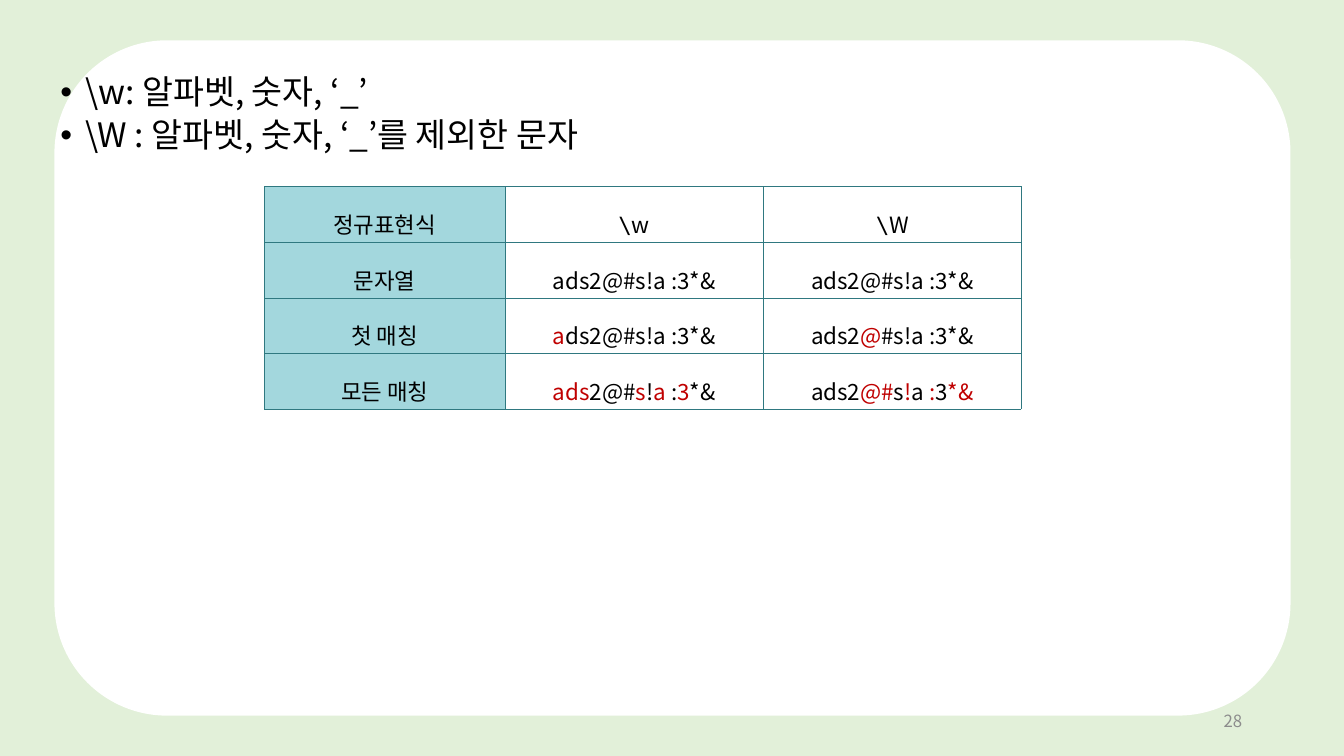
from itertools import groupby

from lxml.etree import SubElement
from pptx import Presentation
from pptx.dml.color import RGBColor
from pptx.enum.shapes import MSO_SHAPE
from pptx.enum.text import MSO_ANCHOR, PP_ALIGN
from pptx.oxml.ns import qn
from pptx.util import Pt

PX = 9144
GREEN, WHITE, BLACK, RED = "E2F0D9", "FFFFFF", "000000", "C00000"
TEAL, TEAL_LINE, GRAY = "A3D7DD", "2F7880", "8C8C8C"

RULES = ["\\w: 알파벳, 숫자, ‘_’", "\\W : 알파벳, 숫자, ‘_’를 제외한 문자"]
MATCHES = [
    ["정규표현식", "\\w", "\\W"],
    ["문자열", "ads2@#s!a :3*&", "ads2@#s!a :3*&"],
    ["첫 매칭", "|a|ds2@#s!a :3*&", "ads2|@|#s!a :3*&"],
    ["모든 매칭", "|ads|2@#|s|!|a| :|3|*&", "ads2|@#|s|!|a| :|3|*&|"],
]


def px(length):
    return length * PX


def color(code):
    return RGBColor.from_string(code)


def apply(target, values):
    for name, value in values.items():
        setattr(target, name, value)


class Page:
    font = "Noto Sans CJK KR"
    mono = "DejaVu Sans Mono"

    def __init__(self, slide):
        self.slide = slide

    def panel(self, kind, box, fill):
        panel = self.slide.shapes.add_shape(kind, *map(px, box))
        panel.shadow.inherit = False
        panel.fill.solid()
        panel.fill.fore_color.rgb = color(fill)
        panel.line.fill.background()

    def run(self, paragraph, text, size, ink=BLACK, font=None):
        run = paragraph.add_run()
        run.text = text
        apply(run.font, {"size": Pt(size), "name": font or self.font})
        run.font.color.rgb = color(ink)
        east = SubElement(run.font._element, qn("a:ea"))
        east.set("typeface", self.font)

    def text(self, box, text, size, ink, align):
        frame = self.slide.shapes.add_textbox(*map(px, box)).text_frame
        apply(frame, {"word_wrap": True, "vertical_anchor": MSO_ANCHOR.MIDDLE})
        frame.paragraphs[0].alignment = align
        self.run(frame.paragraphs[0], text, size, ink)

    def bullets(self, box, lines, size):
        title, body = self.slide.placeholders
        tree = title.element.getparent()
        tree.remove(title.element)
        tree.append(body.element)
        apply(body, dict(zip(("left", "top", "width", "height"), map(px, box))))
        frame = body.text_frame
        for index, line in enumerate(lines):
            paragraph = frame.add_paragraph() if index else frame.paragraphs[0]
            apply(paragraph, {"level": 1, "line_spacing": 0.9, "space_before": Pt(5)})
            layout = paragraph._p.get_or_add_pPr()
            layout.set("marL", str(px(75)))
            layout.set("indent", str(px(-25)))
            SubElement(layout, qn("a:buFont")).set("typeface", "Arial")
            SubElement(layout, qn("a:buChar")).set("char", "•")
            self.run(paragraph, line, size)

    def borders(self, cell, ink, width):
        properties = cell._tc.get_or_add_tcPr()
        for side in ("lnL", "lnR", "lnT", "lnB"):
            line = SubElement(properties, qn(f"a:{side}"), w=str(Pt(width)))
            fill = SubElement(line, qn("a:solidFill"))
            SubElement(fill, qn("a:srgbClr"), val=ink)

    def cell(self, cell, text, fill, size):
        self.borders(cell, TEAL_LINE, 0.28)
        if fill:
            cell.fill.solid()
            cell.fill.fore_color.rgb = color(fill)
        else:
            cell.fill.background()
        apply(cell, {"margin_left": px(9), "margin_right": px(9), "margin_top": px(2),
                     "margin_bottom": px(2), "vertical_anchor": MSO_ANCHOR.MIDDLE})
        paragraph = cell.text_frame.paragraphs[0]
        apply(paragraph, {"alignment": PP_ALIGN.CENTER, "line_spacing": 1.6})
        for index, piece in enumerate(text.split("|")):
            ink = RED if index % 2 else BLACK
            for backslash, letters in groupby(piece, lambda letter: letter == "\\"):
                self.run(paragraph, "".join(letters), size, ink,
                         self.mono if backslash else self.font)

    def table(self, left, top, widths, row_height, rows, size):
        box = (left, top, sum(widths), row_height * len(rows))
        table = self.slide.shapes.add_table(len(rows), len(widths), *map(px, box)).table
        apply(table, {"first_row": False, "horz_banding": False})
        for column, width in zip(table.columns, widths):
            column.width = px(width)
        for r, row in enumerate(rows):
            for c, text in enumerate(row):
                self.cell(table.cell(r, c), text, None if c else TEAL, size)


def main():
    deck = Presentation()
    apply(deck, {"slide_width": px(1333), "slide_height": px(750)})
    page = Page(deck.slides.add_slide(deck.slide_layouts[1]))
    page.panel(MSO_SHAPE.RECTANGLE, (0, 0, 1333, 750), GREEN)
    page.panel(MSO_SHAPE.ROUNDED_RECTANGLE, (54, 40, 1226, 670), WHITE)
    page.text((942, 695, 300, 40), "28", 12, GRAY, PP_ALIGN.RIGHT)
    page.bullets((0, 70, 1200, 476), RULES, 24)
    page.table(262, 185, (239, 256, 256), 46, MATCHES, 16)
    deck.save("out.pptx")


if __name__ == "__main__":
    main()
